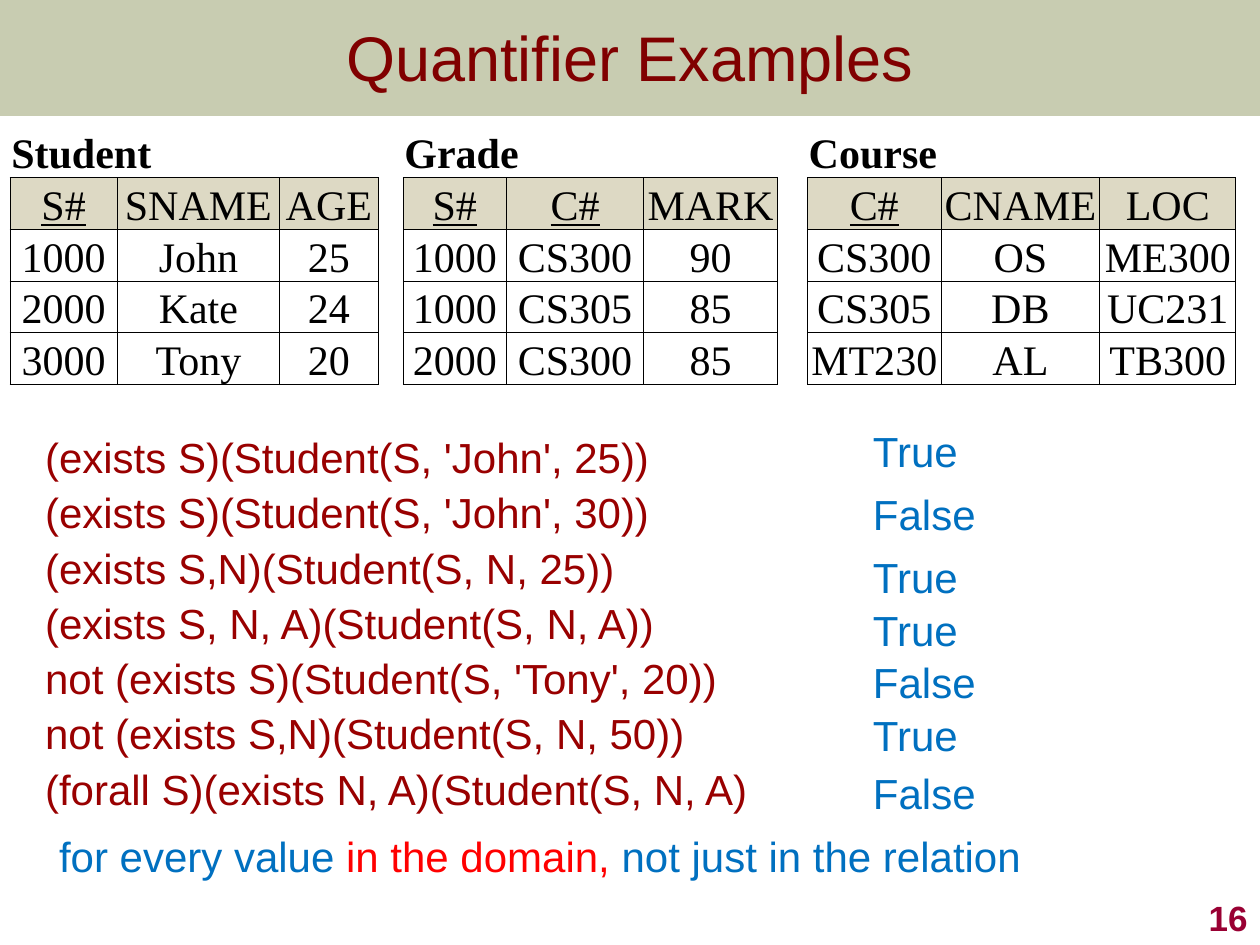
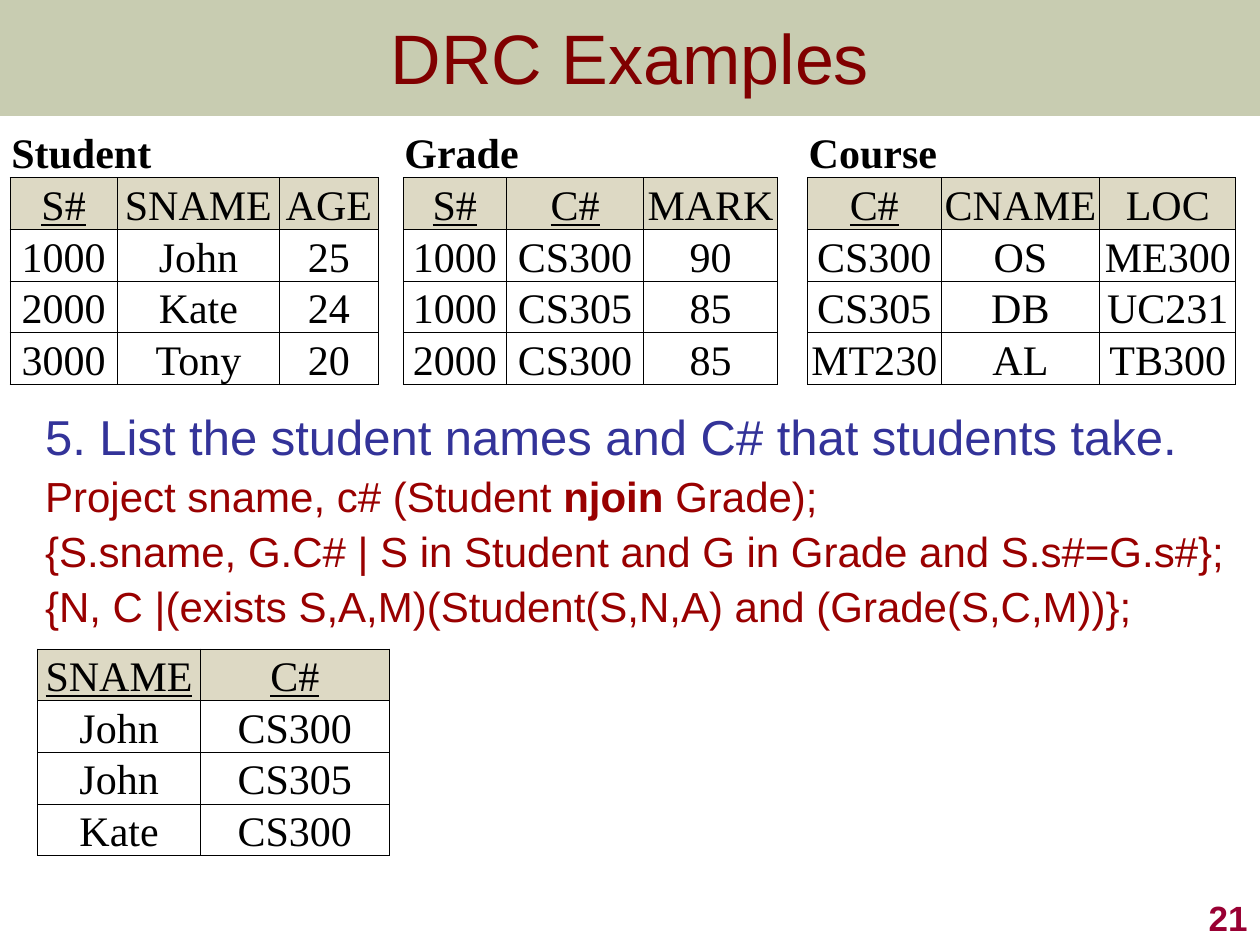
from lxml.etree import SubElement
from pptx import Presentation
from pptx.dml.color import RGBColor
from pptx.enum.shapes import MSO_SHAPE
from pptx.enum.text import MSO_ANCHOR, PP_ALIGN
from pptx.oxml import parse_xml
from pptx.oxml.ns import nsdecls, qn
from pptx.util import Inches, Pt

OLIVE = RGBColor(0x67, 0x72, 0x28)
MAROON = RGBColor(0x80, 0x00, 0x00)
WINE = RGBColor(0x99, 0x00, 0x33)
BRICK = RGBColor(0x99, 0x00, 0x00)
BLUE = RGBColor(0x00, 0x70, 0xC0)
NAVY = RGBColor(0x33, 0x33, 0x99)
RED = RGBColor(0xFF, 0x00, 0x00)
BLACK = RGBColor(0x00, 0x00, 0x00)
WHITE = RGBColor(0xFF, 0xFF, 0xFF)
SAND = RGBColor(0xDD, 0xD9, 0xC4)
PLAIN = "{2D5ABB26-0587-4C30-8999-92F81FD0307C}"

deck = Presentation()
deck.slide_width = Inches(10)
deck.slide_height = Inches(7.5)
UNIT = deck.slide_width // 100


def write(para, text, size=24, tint=BLACK, font="Arial", bold=False,
          under=False, align=PP_ALIGN.LEFT):
    para.alignment = align
    run = para.add_run()
    run.text = text
    run.font.size = Pt(size)
    run.font.name = font
    run.font.bold = bold
    run.font.underline = under
    run.font.color.rgb = tint


def place(slide, left, top, width, height, anchor=MSO_ANCHOR.TOP, wrap=True):
    spot = [round(n * UNIT) for n in (left, top, width, height)]
    frame = slide.shapes.add_textbox(*spot).text_frame
    frame.word_wrap = wrap
    frame.vertical_anchor = anchor
    return frame


names = ["Student", None, None, None, "Grade", None, None, None, "Course", None, None]
rows = [
    names,
    ["S#", "SNAME", "AGE", None, "S#", "C#", "MARK", None, "C#", "CNAME", "LOC"],
    ["1000", "John", "25", None, "1000", "CS300", "90", None, "CS300", "OS", "ME300"],
    ["2000", "Kate", "24", None, "1000", "CS305", "85", None, "CS305", "DB", "UC231"],
    ["3000", "Tony", "20", None, "2000", "CS300", "85", None, "MT230", "AL", "TB300"],
]
base = dict(left=0.8, top=10, head=1, keys=(0, 4, 5, 8), rows=rows,
            cols=[8.5, 12.9, 7.8, 2, 8.2, 10.9, 10.6, 2.4, 10.6, 12.6, 10.8])
joined = dict(left=3, top=51.5, head=0, keys=(0, 1), cols=[12.9, 15],
              rows=[["SNAME", "C#"], ["John", "CS300"],
                    ["John", "CS305"], ["Kate", "CS300"]])

code = dict(tint=BRICK)
tests = [
    "(exists S)(Student(S, 'John', 25))",
    "(exists S)(Student(S, 'John', 30))",
    "(exists S,N)(Student(S, N, 25))",
    "(exists S, N, A)(Student(S, N, A))",
    "not (exists S)(Student(S, 'Tony', 20))",
    "not (exists S,N)(Student(S, N, 50))",
    "(forall S)(exists N, A)(Student(S, N, A)",
]
query = [
    [("5. List the student names and C# that students take.", dict(size=28, tint=NAVY))],
    [("Project sname, c# (Student ", code), ("njoin", dict(tint=BRICK, bold=True)),
     (" Grade);", code)],
    [("{S.sname, G.C# | S in Student and G in Grade and S.s#=G.s#};", code)],
    [("{N, C |(exists S,A,M)(Student(S,N,A) and (Grade(S,C,M))};", code)],
]
pages = [
    dict(title="Quantifier Examples", size=36, num="16", body=(2.6, 34.2, 94, 35.8),
         lines=[[(test, code)] for test in tests], tables=[base]),
    dict(title="DRC Examples", size=40, num="21", body=(2.6, 32.3, 95.7, 37.7),
         lines=query, tables=[base, joined]),
]

for page in pages:
    slide = deck.slides.add_slide(deck.slide_layouts[5])
    title = slide.shapes.title
    title.left = title.top = 0
    title.width, title.height = deck.slide_width, round(8.9 * UNIT)
    title.text_frame.vertical_anchor = MSO_ANCHOR.MIDDLE
    write(title.text_frame.paragraphs[0], page["title"], size=page["size"],
          tint=MAROON, align=PP_ALIGN.CENTER)

    band = slide.shapes.add_shape(MSO_SHAPE.RECTANGLE, 0, 0, deck.slide_width,
                                  round(9.2 * UNIT))
    band.shadow.inherit = False
    band.line.fill.background()
    band.fill.solid()
    band.fill.fore_color.rgb = OLIVE
    shade = band.element.spPr.find(qn("a:solidFill"))[0]
    SubElement(shade, qn("a:alpha")).set("val", "36000")
    band.element.getparent().insert(2, band.element)

    frame = place(slide, *page["body"])
    frame.margin_right = 0
    for i, line in enumerate(page["lines"]):
        para = frame.add_paragraph() if i else frame.paragraphs[0]
        para.line_spacing = 0.9
        para.space_before = Pt(5.7 if i else 0)
        for text, form in line:
            write(para, text, **form)

    for spec in page["tables"]:
        cols, data = spec["cols"], spec["rows"]
        high = round(3.81 * UNIT)
        item = slide.shapes.add_table(
            len(data), len(cols), round(spec["left"] * UNIT), round(spec["top"] * UNIT),
            round(sum(cols) * UNIT), high * len(data))
        table = item.table
        table.first_row = table.horz_banding = False
        table._tbl.tblPr.find(qn("a:tableStyleId")).text = PLAIN
        for col, wide in zip(table.columns, cols):
            col.width = round(wide * UNIT)
        for r, row in enumerate(data):
            table.rows[r].height = high
            for c, text in enumerate(row):
                cell = table.cell(r, c)
                cell.margin_left = cell.margin_right = cell.margin_top = Inches(0.01)
                cell.margin_bottom = 0
                cell.vertical_anchor = MSO_ANCHOR.BOTTOM
                cell.fill.solid()
                cell.fill.fore_color.rgb = SAND if text and r == spec["head"] else WHITE
                if not text:
                    continue
                label = r < spec["head"]
                write(cell.text_frame.paragraphs[0], text, font="Times New Roman",
                      bold=label, under=r == spec["head"] and c in spec["keys"],
                      align=PP_ALIGN.LEFT if label else PP_ALIGN.CENTER)
                if label:
                    cell.merge(table.cell(r, c + 2))
                    continue
                for i, side in enumerate("LRTB"):
                    cell._tc.tcPr.insert(i, parse_xml(
                        f'<a:ln{side} {nsdecls("a")} w="6350"><a:solidFill>'
                        f'<a:srgbClr val="{BLACK}"/></a:solidFill></a:ln{side}>'))

    frame = place(slide, 79.2, 70, 20.8, 5, MSO_ANCHOR.BOTTOM)
    write(frame.paragraphs[0], page["num"], size=20, tint=WINE, bold=True,
          align=PP_ALIGN.RIGHT)

slide = deck.slides[0]
marks = [("True", 32.5), ("False", 37.5), ("True", 42.5), ("True", 46.7),
         ("False", 50.8), ("True", 55), ("False", 59.6)]
for text, top in marks:
    frame = place(slide, 68.3, top, 10.8, 5.8, MSO_ANCHOR.BOTTOM)
    write(frame.paragraphs[0], text, tint=BLUE)

frame = place(slide, 3.7, 65.4, 80.1, 5, wrap=False)
for text, tint in [("for every value ", BLUE), ("in the domain, ", RED),
                   ("not just in the relation", BLUE)]:
    write(frame.paragraphs[0], text, tint=tint)

deck.save("out.pptx")
